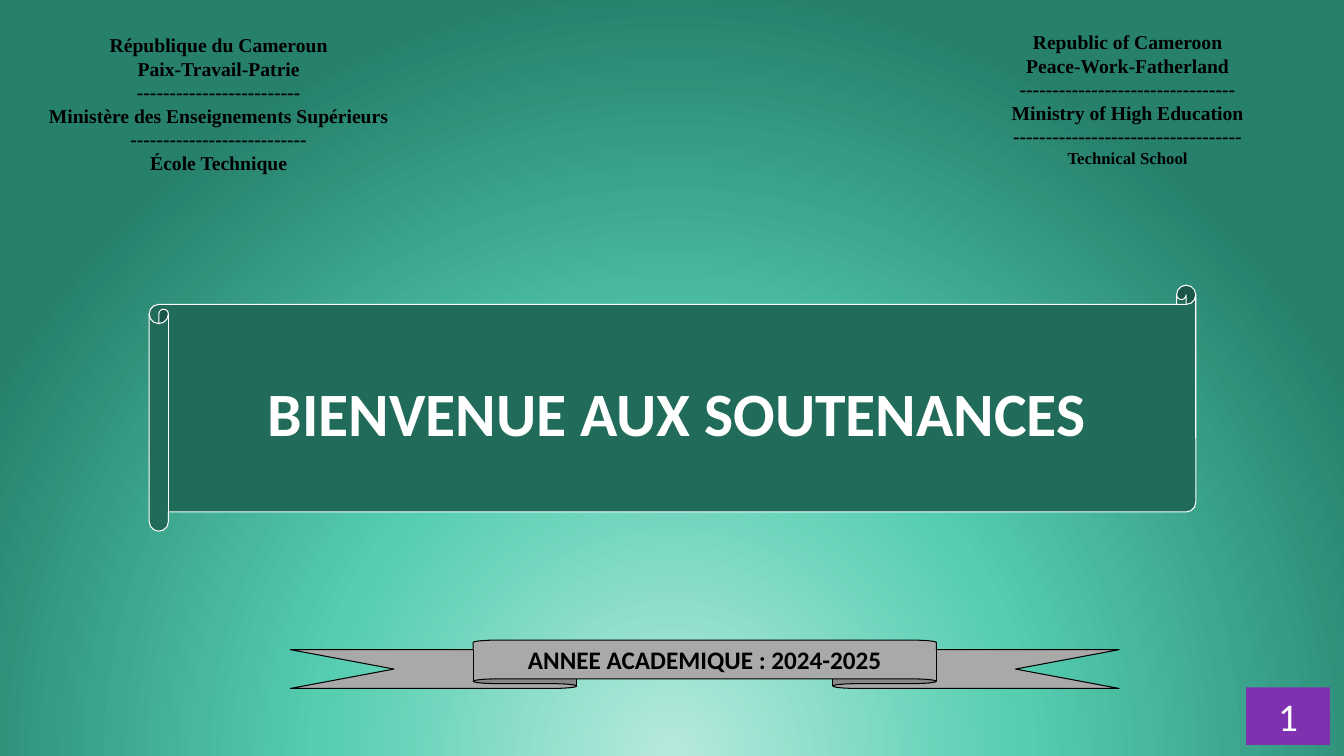
"""Build the welcome slide for the thesis defences."""
from lxml import etree
from pptx import Presentation
from pptx.dml.color import RGBColor
from pptx.enum import shapes, text
from pptx.oxml import ns
from pptx.util import Inches, Pt

COLOURS = {
    "glow": "B7EADE", "mint": "54CDB1", "teal": "26806C", "scroll": "206B5A",
    "ribbon": "A9A9A9", "purple": "7E32B0", "white": "FFFFFF", "black": "000000",
}
GRADIENT = [(0, "glow"), (46, "mint"), (100, "teal")]
GRADIENT_CENTRE = {"l": 50, "t": 130, "r": 50, "b": -30}

LETTERHEADS = [
    ((0.34, 0.28, 3.66, 1.5), [
        ("République du Cameroun", 14),
        ("Paix-Travail-Patrie", 14),
        ("-" * 25, 14),
        ("Ministère des Enseignements Supérieurs", 14),
        ("-" * 27, 14),
        ("École Technique", 14),
    ]),
    ((9.28, 0.25, 3.81, 1.51), [
        ("Republic of Cameroon", 14),
        ("Peace-Work-Fatherland", 14),
        ("-" * 33, 14),
        ("Ministry of High Education", 14),
        ("-" * 35, 14),
        ("Technical School", 12),
    ]),
]

KINDS = shapes.MSO_SHAPE
BANNERS = [
    dict(kind=KINDS.HORIZONTAL_SCROLL, box=(1.48, 2.83, 10.38, 2.44), adjust=[0.078],
         fill="scroll", line="white", words="BIENVENUE AUX SOUTENANCES",
         size=44, colour="white", bold=True, spacing=(1.1, 6)),
    dict(kind=KINDS.UP_RIBBON, box=(2.88, 6.35, 8.22, 0.48), adjust=[0.198, 0.559],
         fill="ribbon", line="black", words="ANNEE ACADEMIQUE : 2024-2025",
         size=18, colour="black", bold=True, spacing=(1, 0)),
    dict(kind=KINDS.RECTANGLE, box=(12.36, 6.82, 0.83, 0.57), adjust=[],
         fill="purple", line=None, words="1",
         size=28, colour="white", bold=False, spacing=(1, 0)),
]


def rgb(name):
    return RGBColor.from_string(COLOURS[name])


def style(paragraph, font_name, size, colour, bold):
    paragraph.alignment = text.PP_ALIGN.CENTER
    for run in paragraph.runs:
        font = run.font
        font.name, font.size, font.bold = font_name, Pt(size), bold
        font.color.rgb = rgb(colour)


def paint_background(slide):
    slide.background.fill.gradient()
    gradient = slide.element.find(".//" + ns.qn("a:gradFill"))
    for child in list(gradient):
        gradient.remove(child)
    stops = etree.SubElement(gradient, ns.qn("a:gsLst"))
    for position, name in GRADIENT:
        stop = etree.SubElement(stops, ns.qn("a:gs"), pos=str(position * 1000))
        etree.SubElement(stop, ns.qn("a:srgbClr"), val=COLOURS[name])
    circle = etree.SubElement(gradient, ns.qn("a:path"), attrib={"path": "circle"})
    centre = {side: str(value * 1000) for side, value in GRADIENT_CENTRE.items()}
    etree.SubElement(circle, ns.qn("a:fillToRect"), attrib=centre)


def add_letterhead(slide, box, lines):
    frame = slide.shapes.add_textbox(*map(Inches, box)).text_frame
    frame.word_wrap = True
    frame.text = "\n".join(words for words, _ in lines)
    for paragraph, (_, size) in zip(frame.paragraphs, lines):
        style(paragraph, "Times New Roman", size, "black", True)


def add_banner(slide, kind, box, adjust, fill, line, words, size, colour, bold, spacing):
    shape = slide.shapes.add_shape(kind, *map(Inches, box))
    shape.shadow.inherit = False
    for index, value in enumerate(adjust):
        shape.adjustments[index] = value
    shape.fill.solid()
    shape.fill.fore_color.rgb = rgb(fill)
    if line:
        shape.line.color.rgb = rgb(line)
        shape.line.width = Pt(0.75)
    else:
        shape.line.fill.background()
    frame = shape.text_frame
    frame.word_wrap = True
    frame.vertical_anchor = text.MSO_ANCHOR.MIDDLE
    frame.text = words
    paragraph = frame.paragraphs[0]
    paragraph.line_spacing, paragraph.space_after = spacing[0], Pt(spacing[1])
    style(paragraph, "Calibri", size, colour, bold)


def main():
    presentation = Presentation()
    presentation.slide_width, presentation.slide_height = Inches(13.33), Inches(7.5)
    slide = presentation.slides.add_slide(presentation.slide_layouts[6])
    paint_background(slide)
    for box, lines in LETTERHEADS:
        add_letterhead(slide, box, lines)
    for banner in BANNERS:
        add_banner(slide, **banner)
    presentation.save("out.pptx")


if __name__ == "__main__":
    main()
